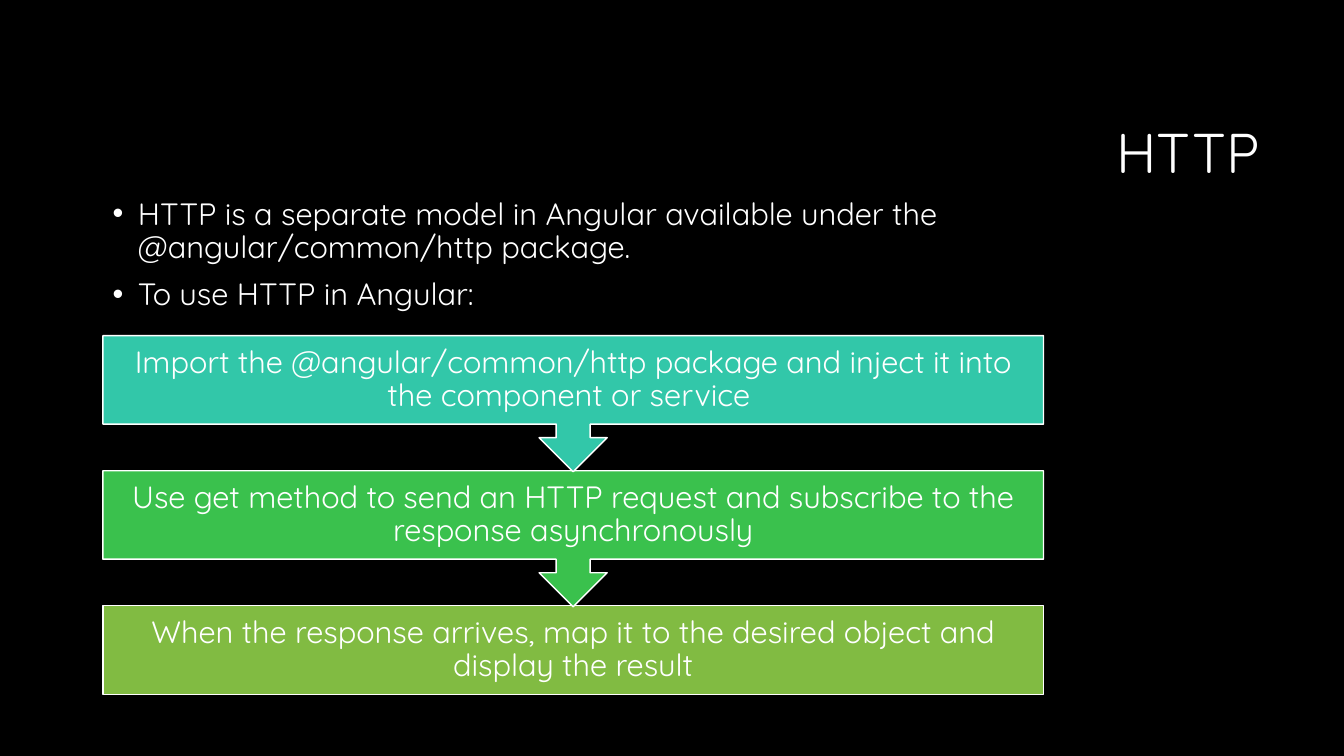
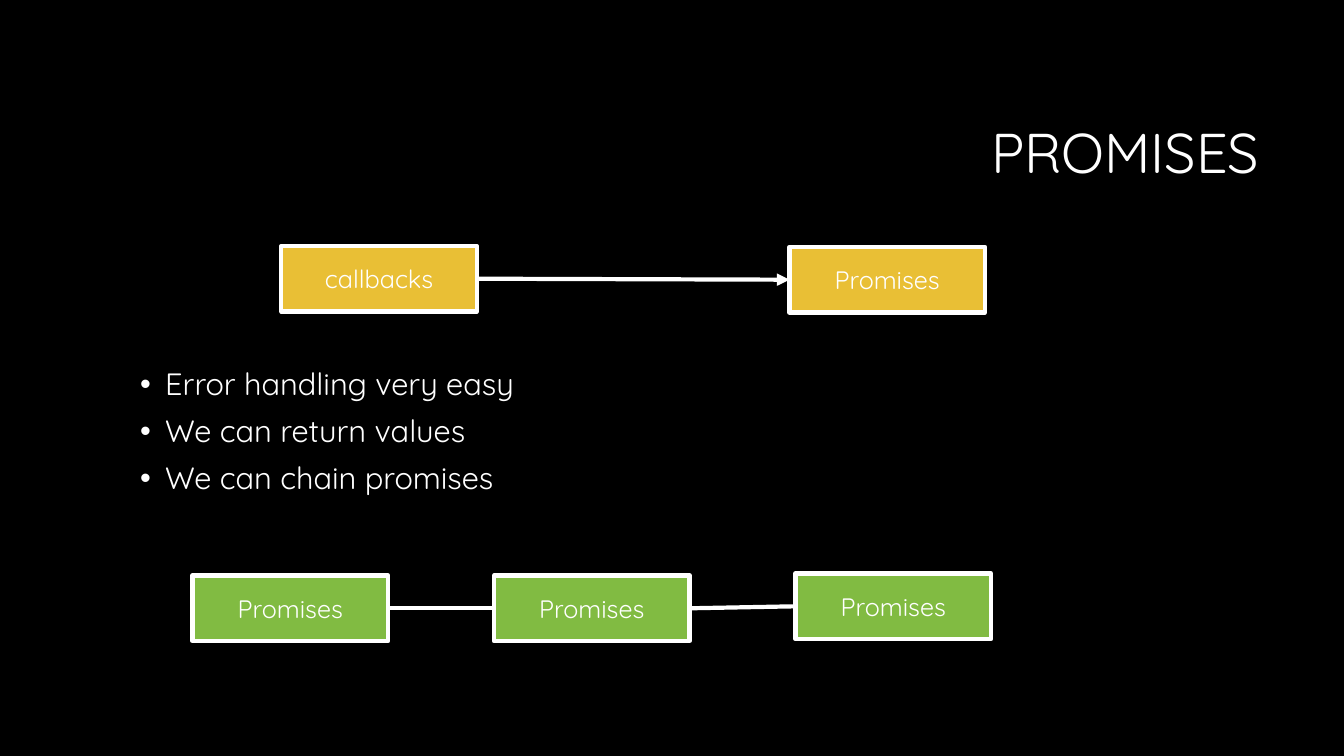
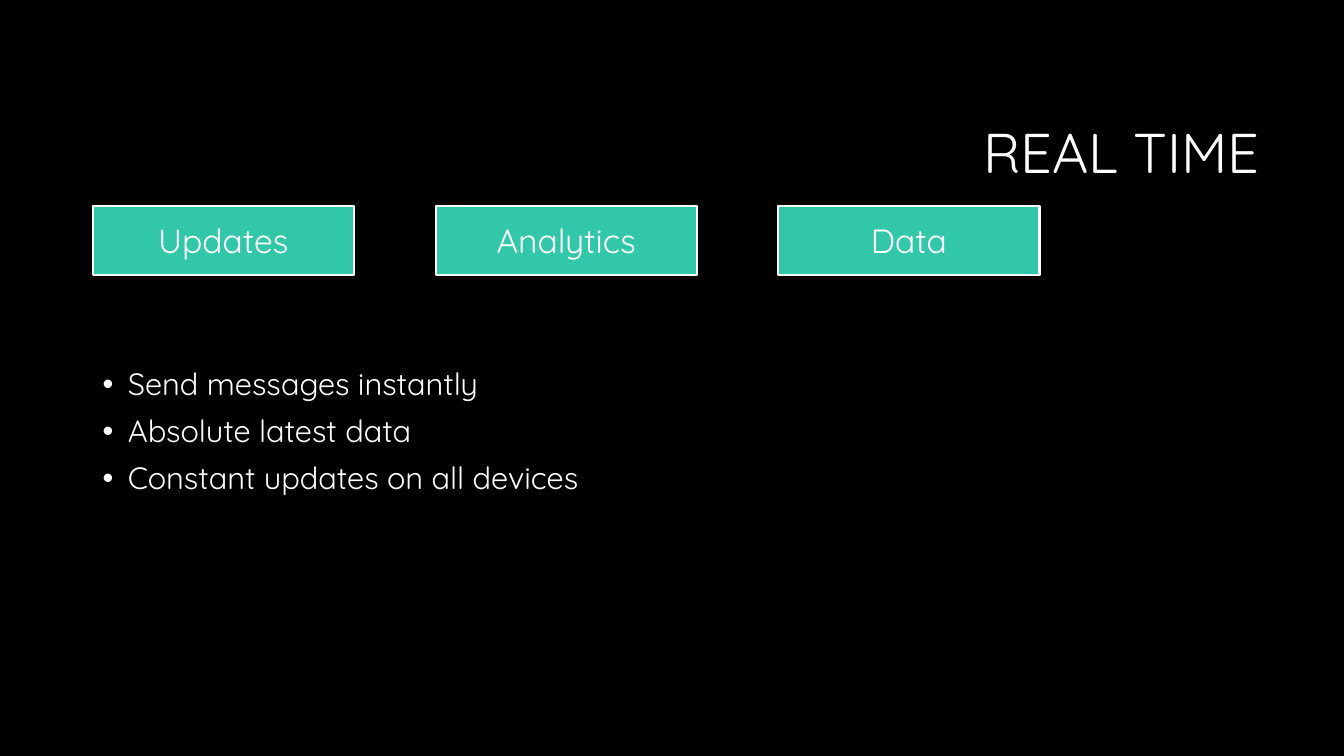
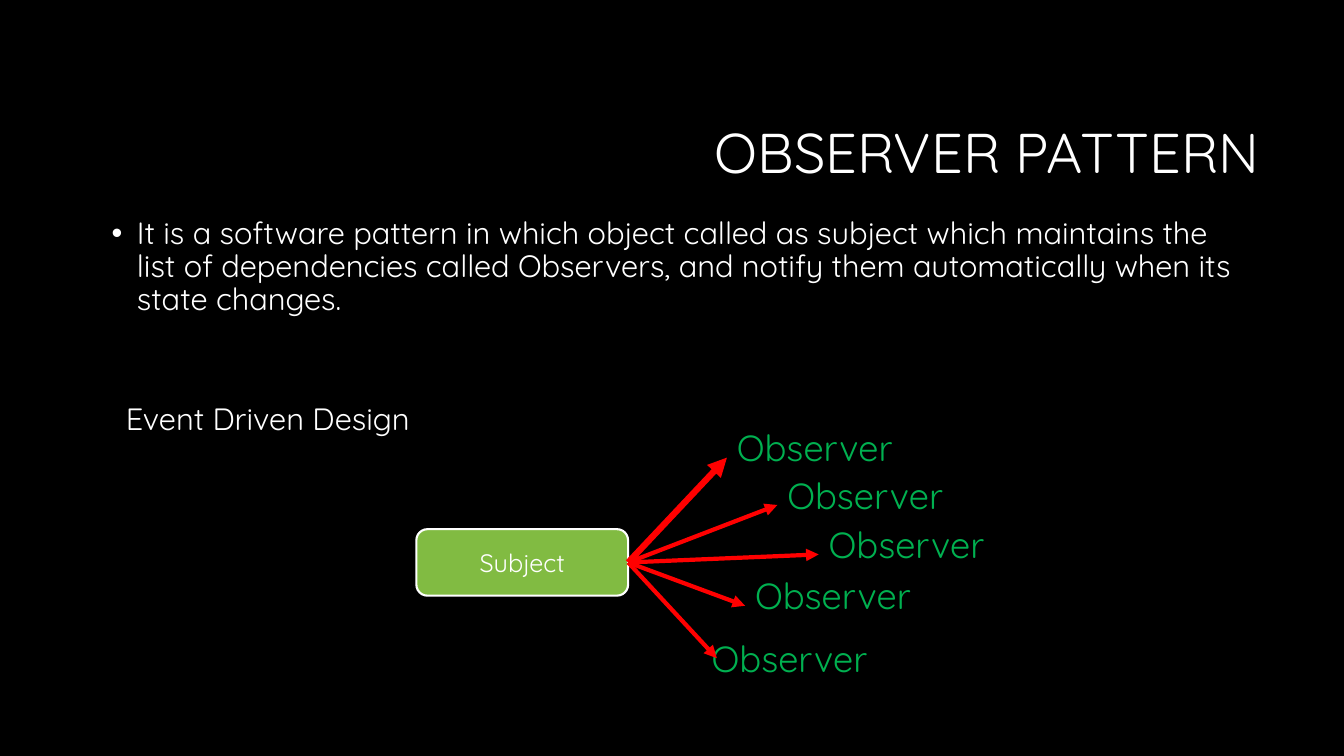
from dataclasses import dataclass
from itertools import pairwise
from typing import Any, NamedTuple

from lxml.etree import SubElement
from pptx import Presentation
from pptx.dml.color import RGBColor
from pptx.enum.shapes import MSO_CONNECTOR, MSO_SHAPE
from pptx.enum.text import MSO_ANCHOR, PP_ALIGN
from pptx.oxml.ns import qn
from pptx.slide import Slide
from pptx.text.text import TextFrame
from pptx.util import Inches, Pt


@dataclass(frozen=True)
class Theme:
    font: str = "Quicksand"
    background: str = "000000"
    text: str = "FFFFFF"
    teal: str = "32C7A9"
    green: str = "3AC14D"
    lime: str = "81BB42"
    gold: str = "E9BF35"
    observer: str = "00B050"
    arrow: str = "FF0000"
    title_size: float = 40
    observer_size: float = 25.9
    heading_size: float = 24
    body_size: float = 22
    label_size: float = 18
    thin: float = 1
    medium: float = 1.5
    thick: float = 3
    heavy: float = 4.5


THEME = Theme()
BODY_FORMAT = {"line_spacing": 0.9, "space_before": Pt(10)}
TITLE_FORMAT = {"line_spacing": 0.9, "alignment": PP_ALIGN.RIGHT}
LABEL_FORMAT = {"alignment": PP_ALIGN.CENTER}
STEP_FORMAT = {"line_spacing": 0.9, "alignment": PP_ALIGN.CENTER}


class Point(NamedTuple):
    x: float
    y: float


class Area(NamedTuple):
    """A rectangle in inches."""

    left: float
    top: float
    width: float
    height: float

    @property
    def left_middle(self) -> Point:
        return Point(self.left, self.top + self.height / 2)

    @property
    def right_middle(self) -> Point:
        return Point(self.left + self.width, self.top + self.height / 2)

    def lengths(self) -> list[Inches]:
        return [Inches(value) for value in self]


@dataclass(frozen=True)
class BoxStyle:
    fill: str
    line_width: float
    size: float = THEME.label_size
    preset: MSO_SHAPE = MSO_SHAPE.RECTANGLE
    inset: float | None = None


class Step(NamedTuple):
    text: str
    fill: str


class Observer(NamedTuple):
    left: float
    top: float
    arrow_end: Point
    arrow_width: float = THEME.thick


def set_values(target: Any, values: dict[str, Any]) -> None:
    for name, value in values.items():
        setattr(target, name, value)


def write_paragraphs(frame: TextFrame, texts: list[str], values: dict[str, Any],
                     size: float, color: str = THEME.text, bullets: bool = False) -> None:
    for index, text in enumerate(texts):
        paragraph = frame.add_paragraph() if index else frame.paragraphs[0]
        set_values(paragraph, values)
        run = paragraph.add_run()
        run.text = text
        set_values(run.font, {"name": THEME.font, "size": Pt(size)})
        run.font.color.rgb = RGBColor.from_string(color)
        if bullets:
            properties = paragraph._p.get_or_add_pPr()
            properties.set("marL", str(Inches(0.25)))
            properties.set("indent", str(-Inches(0.25)))
            SubElement(properties, qn("a:buFont"), typeface="Arial")
            SubElement(properties, qn("a:buChar"), char="•")


def add_text(slide: Slide, area: Area, texts: list[str], values: dict[str, Any] = BODY_FORMAT,
             size: float = THEME.body_size, color: str = THEME.text, bullets: bool = False,
             anchor: MSO_ANCHOR = MSO_ANCHOR.TOP) -> None:
    frame = slide.shapes.add_textbox(*area.lengths()).text_frame
    set_values(frame, {"word_wrap": True, "vertical_anchor": anchor})
    write_paragraphs(frame, texts, values, size, color, bullets)


def add_box(slide: Slide, area: Area, text: str, style: BoxStyle,
            values: dict[str, Any] = LABEL_FORMAT) -> None:
    shape = slide.shapes.add_shape(style.preset, *area.lengths())
    shape.shadow.inherit = False
    shape.fill.solid()
    shape.fill.fore_color.rgb = RGBColor.from_string(style.fill)
    shape.line.color.rgb = RGBColor.from_string(THEME.text)
    shape.line.width = Pt(style.line_width)
    frame = shape.text_frame
    set_values(frame, {"word_wrap": True, "vertical_anchor": MSO_ANCHOR.MIDDLE})
    if style.inset is not None:
        sides = ("left", "top", "right", "bottom")
        set_values(frame, {f"margin_{side}": Inches(style.inset) for side in sides})
    write_paragraphs(frame, [text], values, style.size)


def add_line(slide: Slide, start: Point, end: Point, color: str = THEME.text,
             width: float = THEME.thick, arrow: bool = False) -> None:
    ends = [Inches(value) for value in (*start, *end)]
    connector = slide.shapes.add_connector(MSO_CONNECTOR.STRAIGHT, *ends)
    connector.line.color.rgb = RGBColor.from_string(color)
    connector.line.width = Pt(width)
    if arrow:
        SubElement(connector.line._get_or_add_ln(), qn("a:tailEnd"), type="triangle")
    SubElement(connector._element.spPr, qn("a:effectLst"))


def add_titled_slide(presentation: Presentation, title: str) -> Slide:
    slide = presentation.slides.add_slide(presentation.slide_layouts[6])
    add_text(slide, Area(3.17, 0.84, 9.42, 1.41), [title], TITLE_FORMAT,
             THEME.title_size, anchor=MSO_ANCHOR.MIDDLE)
    return slide


def build_http(presentation: Presentation) -> None:
    slide = add_titled_slide(presentation, "HTTP")
    add_text(slide, Area(1.02, 1.92, 11.83, 1.28), [
        "HTTP is a separate model in Angular available under the @angular/common/http package.",
        "To use HTTP in Angular:",
    ], bullets=True)
    steps = [
        Step("Import the @angular/common/http package and inject it into the component or service ",
             THEME.teal),
        Step("Use get method to send an HTTP request and subscribe to the response asynchronously",
             THEME.green),
        Step("When the response arrives, map it to the desired object and display the result",
             THEME.lime),
    ]
    last = len(steps) - 1
    for index, step in reversed(list(enumerate(steps))):
        preset = MSO_SHAPE.RECTANGLE if index == last else MSO_SHAPE.DOWN_ARROW_CALLOUT
        height = 0.88 if index == last else 1.35
        style = BoxStyle(step.fill, THEME.thin, THEME.body_size, preset, inset=0.17)
        add_box(slide, Area(1.02, 3.33 + index * 1.34, 9.33, height), step.text, style, STEP_FORMAT)


def build_promises(presentation: Presentation) -> None:
    slide = add_titled_slide(presentation, "PROMISES")
    width, height = 1.94, 0.65
    callbacks = Area(2.79, 2.44, width, height)
    promises = Area(7.83, 2.45, width, height)
    gold_box = BoxStyle(THEME.gold, THEME.thick)
    add_box(slide, callbacks, "callbacks", gold_box)
    add_box(slide, promises, "Promises", gold_box)
    add_line(slide, callbacks.right_middle, promises.left_middle, arrow=True)

    add_text(slide, Area(1.29, 3.61, 9.15, 2.36), [
        "Error handling very easy",
        "We can return values",
        "We can chain promises",
    ], bullets=True)

    chain = [Area(1.91 + index * 2.99, top, width, height)
             for index, top in enumerate((5.71, 5.71, 5.69))]
    for area in chain:
        add_box(slide, area, "Promises", BoxStyle(THEME.lime, THEME.thick))
    for before, after in pairwise(chain):
        add_line(slide, before.right_middle, after.left_middle)


def build_real_time(presentation: Presentation) -> None:
    slide = add_titled_slide(presentation, "REAL TIME")
    style = BoxStyle(THEME.teal, THEME.medium, THEME.heading_size)
    width, gap = 2.59, 0.81
    for index, label in enumerate(("Updates", "Analytics", "Data")):
        add_box(slide, Area(0.92 + index * (width + gap), 2.04, width, 0.69), label, style)
    add_text(slide, Area(0.92, 3.61, 9.53, 2.36), [
        "Send messages instantly",
        "Absolute latest data",
        "Constant updates on all devices",
    ], bullets=True)


def build_observer_pattern(presentation: Presentation) -> None:
    slide = add_titled_slide(presentation, "OBSERVER PATTERN")
    add_text(slide, Area(1.15, 3.96, 3.46, 0.64), ["Event Driven Design"])
    subject = Area(4.13, 5.25, 2.1, 0.66)
    add_box(slide, subject, "Subject",
            BoxStyle(THEME.lime, THEME.medium, preset=MSO_SHAPE.ROUNDED_RECTANGLE))
    observers = [
        Observer(7.21, 4.22, Point(7.21, 4.54), THEME.heavy),
        Observer(7.71, 4.69, Point(7.71, 5.01)),
        Observer(8.12, 5.18, Point(8.12, 5.5)),
        Observer(7.39, 5.69, Point(7.39, 6.01)),
        Observer(6.96, 6.31, Point(7.11, 6.53)),
    ]
    for observer in observers:
        add_text(slide, Area(observer.left, observer.top, 1.89, 0.64), ["Observer"],
                 size=THEME.observer_size, color=THEME.observer)
        add_line(slide, subject.right_middle, observer.arrow_end, THEME.arrow,
                 observer.arrow_width, arrow=True)
    add_text(slide, Area(1.01, 2.11, 11.37, 1.23), [
        "It is a software pattern in which object called as subject which maintains the list of "
        "dependencies called Observers, and notify them automatically when its state changes.",
    ], bullets=True)


def main() -> None:
    presentation = Presentation()
    set_values(presentation, {"slide_width": Inches(13.33), "slide_height": Inches(7.5)})
    background = presentation.slide_master.background.fill
    background.solid()
    background.fore_color.rgb = RGBColor.from_string(THEME.background)
    for build in (build_http, build_promises, build_real_time, build_observer_pattern):
        build(presentation)
    presentation.save("out.pptx")


if __name__ == "__main__":
    main()
